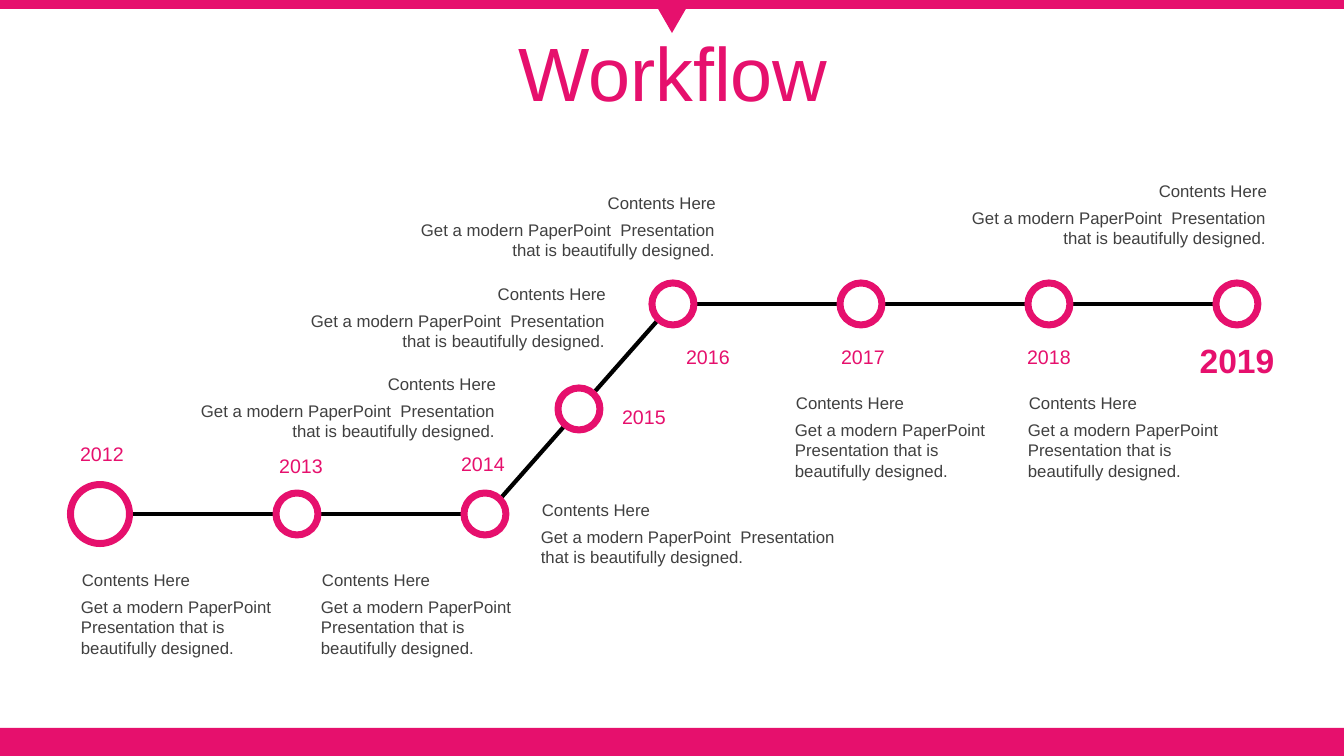
from pptx import Presentation
from pptx.dml.color import RGBColor
from pptx.enum.shapes import MSO_CONNECTOR, MSO_SHAPE
from pptx.enum.text import MSO_ANCHOR, PP_ALIGN
from pptx.oxml.ns import qn
from pptx.util import Pt
from lxml.etree import SubElement

EMU_PER_PX = 914400 / 100.8
SLIDE_W, SLIDE_H = 1344, 756
COLORS = {"pink": "E6106D", "white": "FFFFFF", "black": "000000", "gray": "404040"}
FONT = "Arial"
HEADING = "Contents Here"
DETAIL = "Get a modern PaperPoint  Presentation that is beautifully designed."
NARROW, WIDE = 218, 337
STEP = 188
LOW, MIDDLE, HIGH = 514, 409, 304
BEND_X = 485
PEAK_X = BEND_X + STEP


def px(length):
    return round(length * EMU_PER_PX)


def scaled(*lengths):
    return [px(length) for length in lengths]


def color(name):
    return RGBColor.from_string(COLORS[name])


def add_panel(slide, kind, box, fill, outline=None):
    panel = slide.shapes.add_shape(kind, *scaled(*box))
    panel.shadow.inherit = False
    panel.fill.solid()
    panel.fill.fore_color.rgb = color(fill)
    if outline:
        panel.line.color.rgb = color(outline)
        panel.line.width = Pt(5)
    else:
        panel.line.fill.background()
    return panel


def write(frame, wording, size, ink, align, bold=False):
    frame.word_wrap = True
    paragraph = frame.paragraphs[0]
    paragraph.alignment = align
    run = paragraph.add_run()
    run.text = wording
    run.font.name = FONT
    run.font.size = Pt(size)
    run.font.bold = bold
    run.font.color.rgb = color(ink)
    return paragraph


def add_label(shapes, box, wording, size, ink, align, bold=False):
    label = shapes.add_textbox(*scaled(*box))
    write(label.text_frame, wording, size, ink, align, bold)


def add_frame(slide, width, height):
    add_panel(slide, MSO_SHAPE.RECTANGLE, (0, height - 28, width, 28), "pink")
    add_panel(slide, MSO_SHAPE.RECTANGLE, (0, 0, width, 9), "pink")
    pointer = add_panel(slide, MSO_SHAPE.ISOSCELES_TRIANGLE, (width // 2 - 19, 0, 38, 33), "pink")
    pointer.rotation = 180


def add_title(slide, box):
    title = slide.shapes.title
    title.left, title.top, title.width, title.height = scaled(*box)
    title.text_frame.vertical_anchor = MSO_ANCHOR.MIDDLE
    paragraph = write(title.text_frame, "Workflow", 54, "pink", PP_ALIGN.CENTER)
    paragraph.line_spacing = 0.9
    paragraph.space_before = Pt(10)


def add_track(slide, start, end):
    track = slide.shapes.add_connector(MSO_CONNECTOR.STRAIGHT, *scaled(*start, *end))
    track.line.color.rgb = color("black")
    track.line.width = Pt(3)
    SubElement(track._element.spPr, qn("a:effectLst"))


def add_milestone(slide, center, diameter):
    x, y = center
    box = (x - diameter / 2, y - diameter / 2, diameter, diameter)
    add_panel(slide, MSO_SHAPE.OVAL, box, "white", "pink")


def add_year(slide, year, left, top):
    final = year == "2019"
    width, height, size = (104, 50, 24) if final else (72, 34, 14)
    add_label(slide.shapes, (left, top, width, height), year, size, "pink", PP_ALIGN.CENTER, final)


def add_caption(slide, left, top, width, align):
    caption = slide.shapes.add_group_shape()
    detail_height = 71 if width == NARROW else 50
    add_label(caption.shapes, (left, top + 27, width, detail_height), DETAIL, 12, "gray", align)
    add_label(caption.shapes, (left + 1, top, width, 30), HEADING, 12, "gray", align)


def add_timeline(slide):
    tracks = [
        ((130, LOW), (464, LOW)),
        ((PEAK_X, HIGH), (1259, HIGH)),
        ((500, 499), (658, 320)),
    ]
    for start, end in tracks:
        add_track(slide, start, end)

    add_milestone(slide, (100, LOW), 59)
    stops = [(297, LOW), (BEND_X, LOW), (BEND_X + STEP // 2, MIDDLE)]
    stops += [(PEAK_X + STEP * index, HIGH) for index in range(4)]
    for center in stops:
        add_milestone(slide, center, 42)

    years = {
        "2012": (66, 437),
        "2013": (265, 449),
        "2014": (447, 447),
        "2015": (608, 400),
        "2016": (672, 340),
        "2017": (827, 340),
        "2018": (1013, 340),
        "2019": (1185, 335),
    }
    for year, corner in years.items():
        add_year(slide, year, *corner)

    for left, top in [(71, 565), (311, 565), (785, 388), (1018, 388)]:
        add_caption(slide, left, top, NARROW, PP_ALIGN.LEFT)
    add_caption(slide, 531, 495, WIDE, PP_ALIGN.LEFT)
    for left, top in [(388, 188), (278, 279), (168, 369), (939, 176)]:
        add_caption(slide, left, top, WIDE, PP_ALIGN.RIGHT)


def main():
    deck = Presentation()
    deck.slide_width, deck.slide_height = scaled(SLIDE_W, SLIDE_H)
    slide = deck.slides.add_slide(deck.slide_layouts[5])
    add_frame(slide, SLIDE_W, SLIDE_H)
    add_title(slide, (35, 37, 1276, 80))
    add_timeline(slide)
    deck.save("out.pptx")


if __name__ == "__main__":
    main()
